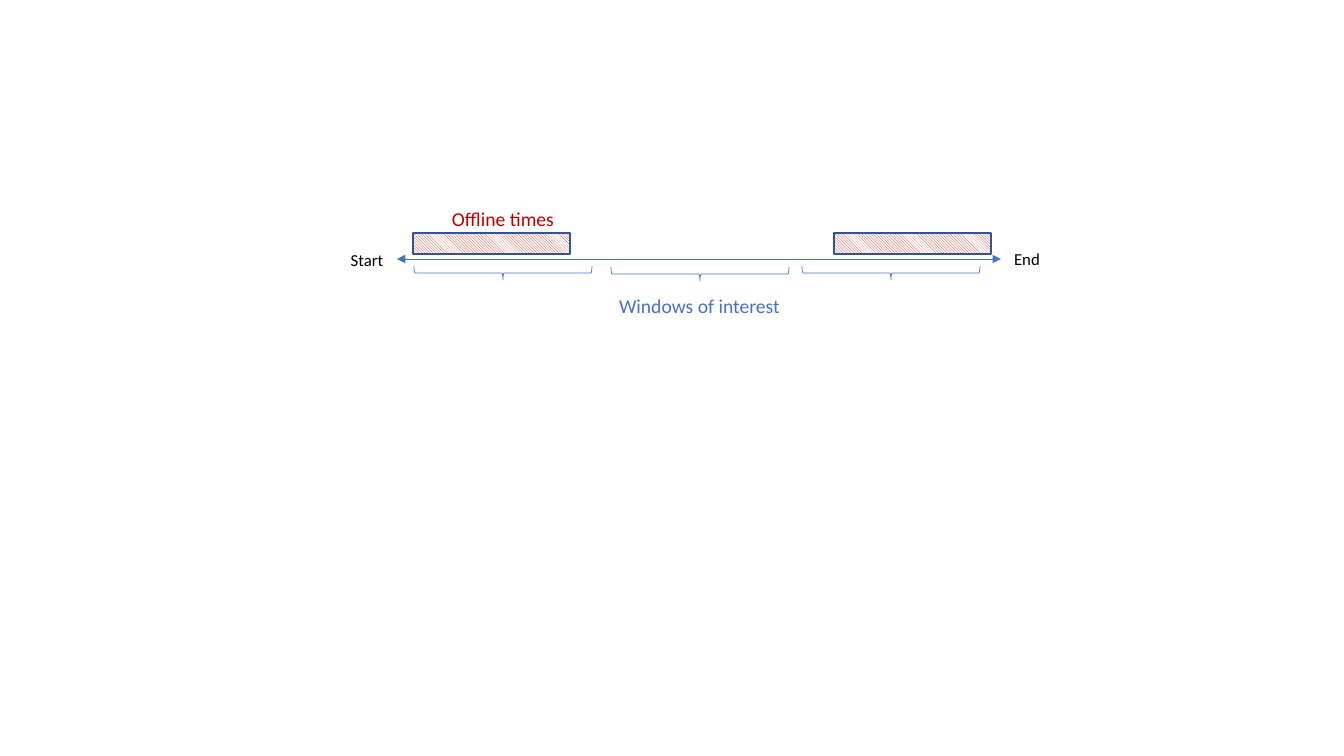
from lxml import etree
from pptx import Presentation
from pptx import util as u
from pptx.dml.color import RGBColor
from pptx.enum import dml, shapes, text
from pptx.oxml.ns import qn

PIXEL = 914400 / 100.8
COLORS = {
    "black": "000000",
    "blue": "4472C4",
    "dark_blue": "325491",
    "red": "C00000",
    "hatch": "D52B1E",
    "white": "FFFFFF",
}


def px(length):
    return u.Emu(round(length * PIXEL))


def color(name):
    return RGBColor.from_string(COLORS[name])


def write_text(frame, words, *, size, font, fill, align=text.PP_ALIGN.CENTER):
    frame.word_wrap = True
    frame.auto_size = text.MSO_AUTO_SIZE.SHAPE_TO_FIT_TEXT
    paragraph = frame.paragraphs[0]
    paragraph.alignment = align
    run = paragraph.add_run()
    run.text = words
    run.font.size = u.Pt(size)
    run.font.name = font
    run.font.color.rgb = color(fill)


class TimelineSlide:
    font = "Calibri"
    thin = 0.5

    def __init__(self, slide):
        self.slide = slide

    def outline(self, shape, name, width):
        shape.line.color.rgb = color(name)
        shape.line.width = u.Pt(width)

    def label(self, words, left, top, width, height, size=12, fill="black"):
        box = self.slide.shapes.add_textbox(*map(px, (left, top, width, height)))
        write_text(box.text_frame, words, size=size, font=self.font, fill=fill)

    def double_arrow(self, start, end, y):
        arrow = self.slide.shapes.add_connector(
            shapes.MSO_CONNECTOR.STRAIGHT, px(start), px(y), px(end), px(y))
        self.outline(arrow, "blue", self.thin)
        properties = arrow.element.spPr
        line = properties.find(qn("a:ln"))
        for tag in ("a:headEnd", "a:tailEnd"):
            etree.SubElement(line, qn(tag)).set("type", "triangle")
        etree.SubElement(properties, qn("a:effectLst"))

    def hatched_bar(self, left, top, width, height):
        bar = self.slide.shapes.add_shape(
            shapes.MSO_SHAPE.RECTANGLE, *map(px, (left, top, width, height)))
        bar.shadow.inherit = False
        bar.fill.patterned()
        bar.fill.pattern = dml.MSO_PATTERN.DARK_DOWNWARD_DIAGONAL
        bar.fill.fore_color.rgb = color("hatch")
        bar.fill.back_color.rgb = color("white")
        self.outline(bar, "dark_blue", 1)

    def brace_below(self, center_x, center_y, span, depth):
        # A left brace turned to open upwards
        brace = self.slide.shapes.add_shape(
            shapes.MSO_SHAPE.LEFT_BRACE, px(center_x - depth / 2),
            px(center_y - span / 2), px(depth), px(span))
        brace.rotation = 270
        brace.shadow.inherit = False
        brace.fill.background()
        self.outline(brace, "blue", self.thin)


presentation = Presentation()
presentation.slide_width = px(1344)
presentation.slide_height = px(756)
timeline = TimelineSlide(
    presentation.slides.add_slide(presentation.slide_layouts[6]))

# Time axis with its ends
timeline.double_arrow(397, 1001, 259)
timeline.label("Start", 324, 245, 86, 30)
timeline.label("End", 984, 244, 86, 30)

# Offline times
for left in (413, 834):
    timeline.hatched_bar(left, 233, 157, 21)
timeline.label("Offline times", 384, 202, 238, 34, size=14, fill="red")

# Windows of interest
for center_x, center_y in ((700, 274), (891, 273), (503, 273)):
    timeline.brace_below(center_x, center_y, span=178, depth=14)
timeline.label("Windows of interest", 513, 289, 373, 34, size=14, fill="blue")

presentation.save("out.pptx")
